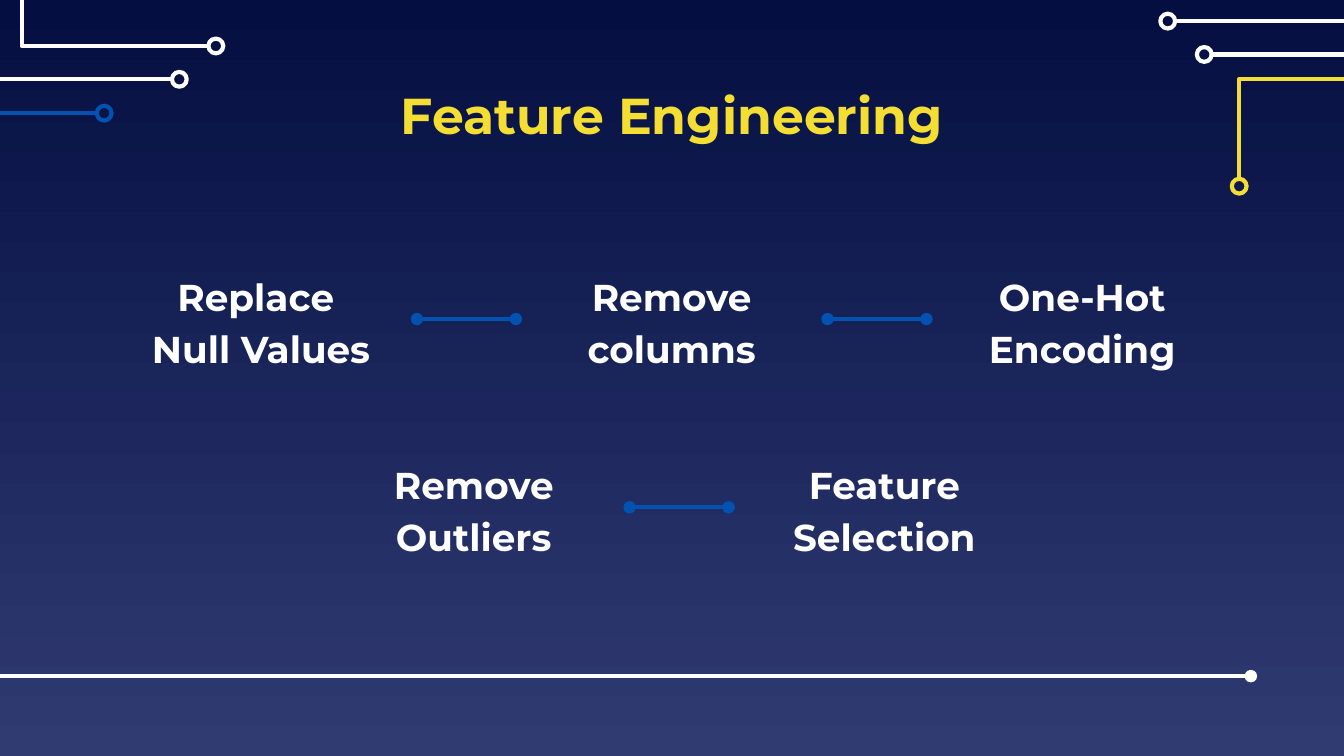
from lxml.etree import SubElement
from pptx import Presentation
from pptx.dml.color import RGBColor as Rgb
from pptx.enum.shapes import MSO_CONNECTOR as Conn, MSO_SHAPE as Shape
from pptx.enum.text import MSO_ANCHOR as Anchor, MSO_AUTO_SIZE as Fit, PP_ALIGN as Align
from pptx.oxml.ns import qn
from pptx.util import Cm, Pt

INK = {"white": "FFFFFF", "gold": "F5DE34", "blue": "0152B1",
       "top": "040E41", "base": "303B72"}

deck = Presentation()
deck.slide_width, deck.slide_height = Cm(25.4), Cm(14.29)
slide = deck.slides.add_slide(deck.slide_layouts[5])
shapes = slide.shapes

back = slide.background.fill
back.gradient()
back.gradient_angle = 270
for stop, name in zip(back.gradient_stops, ("top", "base")):
    stop.color.rgb = Rgb.from_string(INK[name])


def wire(x1, x2, y, ink, ends):
    line = shapes.add_connector(Conn.STRAIGHT, Cm(x1), Cm(y), Cm(x2), Cm(y))
    line.line.color.rgb = Rgb.from_string(INK[ink])
    line.line.width = Pt(2.25)
    for end in ends:
        SubElement(line.line._get_or_add_ln(), qn(f"a:{end}"), type="oval")
    SubElement(line._element.spPr, qn("a:effectLst"))


def label(box, text, size, ink, gap):
    frame = box.text_frame
    frame.text = text
    frame.word_wrap = True
    frame.auto_size = Fit.NONE
    frame.vertical_anchor = Anchor.MIDDLE
    frame.margin_left = frame.margin_right = Cm(0.25)
    frame.margin_top = frame.margin_bottom = Cm(0.25)
    para = frame.paragraphs[0]
    para.alignment = Align.CENTER
    para.line_spacing = gap
    for run in para.runs:
        run.font.name = "Montserrat"
        run.font.size = Pt(size)
        run.font.bold = True
        run.font.color.rgb = Rgb.from_string(INK[ink])


rad, reach, rise = 0.14, 3.53, 2.79
hooks = [(22.07, 0.4, 1, "white"), (22.76, 1.03, 1, "white"),
         (4.08, 0.87, -1, "white"), (3.39, 1.5, -1, "white"), (1.97, 2.14, -1, "blue")]
traces = [((23.42, 3.52), [(23.42, 3.38), (23.42, 1.5), (26.42, 1.5), (26.42, -0.3)], "gold")]
for x, y, way, ink in hooks:
    near = x + way * rad
    far = near + way * reach
    traces.append(((x, y), [(near, y), (far, y), (far, y - rise)], ink))

for (x, y), pts, ink in traces:
    pts = [(Cm(px), Cm(py)) for px, py in pts]
    pen = shapes.build_freeform(*pts[0])
    pen.add_line_segments(pts[1:], close=False)
    track = pen.convert_to_shape()
    ring = shapes.add_shape(Shape.OVAL, Cm(x - rad), Cm(y - rad), Cm(2 * rad), Cm(2 * rad))
    for mark in (track, ring):
        mark.shadow.inherit = False
        mark.fill.background()
        mark.line.color.rgb = Rgb.from_string(INK[ink])
        mark.line.width = Pt(2.25)

wire(-0.03, 23.64, 12.78, "white", ["tailEnd"])

title = shapes.title
title.left, title.top, title.width, title.height = Cm(4.12), Cm(1.5), Cm(17.15), Cm(1.32)
label(title, "Feature Engineering", 27, "gold", 1.0)

step, gap, tall = 5.89, 1.87, 1.32
rows = [(1.99, 5.37, ["Replace \vNull Values", "Remove columns", "One-Hot Encoding"]),
        (6.01, 8.93, ["Remove Outliers", "Feature Selection"])]
for left, top, names in rows:
    for i, name in enumerate(names):
        x = left + i * (step + gap)
        box = shapes.add_textbox(Cm(x), Cm(top), Cm(step), Cm(tall))
        label(box, name, 20, "white", 1.15)
        if i:
            wire(x - gap, x, top + tall / 2, "blue", ["headEnd", "tailEnd"])

deck.save("out.pptx")
